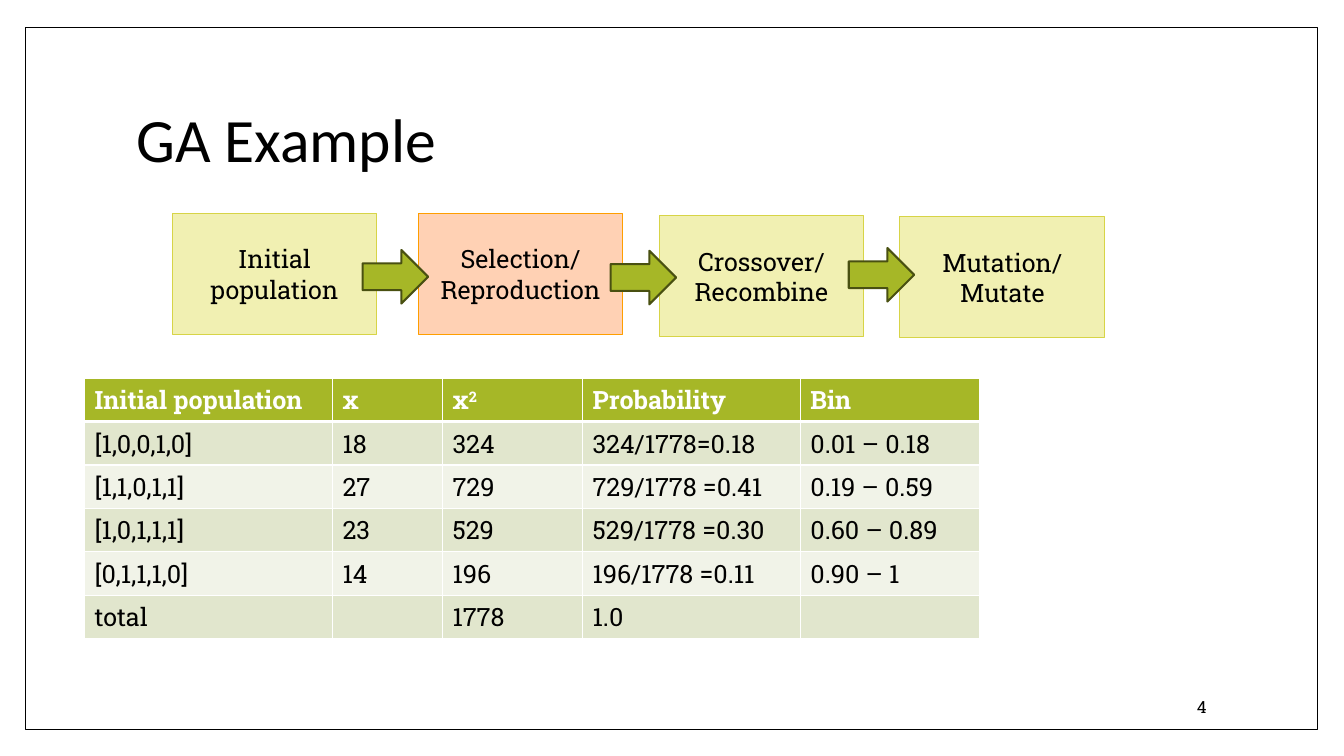
from typing import NamedTuple

from lxml import etree
from pptx import Presentation
from pptx import util as u
from pptx.dml.color import RGBColor
from pptx.enum import shapes, text
from pptx.oxml import ns

SLAB = "Roboto Slab"
BLACK, WHITE, GREEN = "000000", "FFFFFF", "A6B727"
LIME, GOLD = "F1F0B2", "D7D447"


class Step(NamedTuple):
    left: float
    top: float
    lines: tuple[str, ...]
    fill: str = LIME
    edge: str = GOLD


class Arrow(NamedTuple):
    left: float
    top: float


STEPS = (
    Step(4.34, 5.38, ("Initial population",)),
    Step(10.54, 5.38, ("Selection/", "Reproduction"), "FFD1B4", "FE9E00"),
    Step(16.61, 5.44, ("Crossover/ Recombine",)),
    Step(22.68, 5.46, ("Mutation/ Mutate",)),
)
ARROWS = (Arrow(9.14, 6.3), Arrow(15.39, 6.32), Arrow(21.39, 6.25))
WIDTHS = (6.25, 2.77, 3.53, 5.49, 4.52)
ROW = 1.03
ROWS = (
    ("Initial population", "x", "x²", "Probability", "Bin"),
    ("[1,0,0,1,0]", "18", "324", "324/1778=0.18", "0.01 – 0.18"),
    ("[1,1,0,1,1]", "27", "729", "729/1778 =0.41", "0.19 – 0.59"),
    ("[1,0,1,1,1]", "23", "529", "529/1778 =0.30", "0.60 – 0.89"),
    ("[0,1,1,1,0]", "14", "196", "196/1778 =0.11", "0.90 – 1"),
    ("total", "", "1778", "1.0", ""),
)


def tint(color) -> RGBColor:
    return RGBColor.from_string(color)


def write(para, words: str, size: float = 18, face: str = SLAB,
          color: str = BLACK, bold: bool = False):
    run = para.add_run()
    run.text = words
    run.font.size = u.Pt(size)
    run.font.name = face
    run.font.bold = bold
    run.font.color.rgb = tint(color)
    return run


def draw(slide, kind, box: tuple[float, ...], fill: str, edge: str, width: float):
    shape = slide.shapes.add_shape(kind, *map(u.Cm, box))
    shape.shadow.inherit = False
    shape.fill.solid()
    shape.fill.fore_color.rgb = tint(fill)
    shape.line.color.rgb = tint(edge)
    shape.line.width = u.Pt(width)
    return shape


def add_step(slide, step: Step) -> None:
    box = (step.left, step.top, 5.16, 3.05)
    shape = draw(slide, shapes.MSO_SHAPE.RECTANGLE, box, step.fill, step.edge, 0.79)
    frame = shape.text_frame
    frame.word_wrap = True
    frame.vertical_anchor = text.MSO_ANCHOR.MIDDLE
    for i, line in enumerate(step.lines):
        para = frame.add_paragraph() if i else frame.paragraphs[0]
        para.alignment = text.PP_ALIGN.CENTER
        write(para, line)


def add_edges(cell, top: float, base: float) -> None:
    props = cell._tc.get_or_add_tcPr()
    sides = (("a:lnL", 1), ("a:lnR", 1), ("a:lnT", top), ("a:lnB", base))
    for i, (tag, width) in enumerate(sides):
        line = etree.Element(ns.qn(tag), w=str(u.Pt(width)))
        fill = etree.SubElement(line, ns.qn("a:solidFill"))
        etree.SubElement(fill, ns.qn("a:srgbClr"), val=WHITE)
        props.insert(i, line)


def fill_cell(cell, words: str, row: int) -> None:
    head = row == 0
    cell.fill.solid()
    cell.fill.fore_color.rgb = tint(GREEN if head else ("F1F3E8", "E1E6CD")[row % 2])
    add_edges(cell, 3 if row == 1 else 1, 3 if head else 1)
    para = cell.text_frame.paragraphs[0]
    color = WHITE if head else BLACK
    if words == "x²":
        write(para, "x", color=color, bold=head)
        power = write(para, "2", color=color, bold=head)
        power._r.get_or_add_rPr().set("baseline", "30000")
    elif words:
        write(para, words, color=color, bold=head)


def add_grid(slide) -> None:
    size = (2.13, 9.53, sum(WIDTHS), ROW * len(ROWS))
    grid = slide.shapes.add_table(len(ROWS), len(WIDTHS), *map(u.Cm, size)).table
    for col, width in zip(grid.columns, WIDTHS):
        col.width = u.Cm(width)
    for r, row in enumerate(ROWS):
        grid.rows[r].height = u.Cm(ROW)
        for c, words in enumerate(row):
            fill_cell(grid.cell(r, c), words, r)


def main() -> None:
    deck = Presentation()
    deck.slide_width, deck.slide_height = u.Cm(33.87), u.Cm(19.05)
    slide = deck.slides.add_slide(deck.slide_layouts[5])

    # Page frame, behind everything
    rect = shapes.MSO_SHAPE.RECTANGLE
    page = draw(slide, rect, (0.64, 0.69, 32.56, 17.7), WHITE, BLACK, 1)
    slide.shapes._spTree.insert(2, page._element)

    # Title
    title = slide.shapes.title
    title.left, title.top = u.Cm(3.18), u.Cm(1.7)
    title.width, title.height = u.Cm(27.43), u.Cm(3.76)
    title.text_frame.vertical_anchor = text.MSO_ANCHOR.MIDDLE
    para = title.text_frame.paragraphs[0]
    para.alignment = text.PP_ALIGN.LEFT
    para.line_spacing = 0.9
    write(para, "GA Example", 44, "Calibri")

    # Process steps and arrows
    for step in STEPS:
        add_step(slide, step)
    for arrow in ARROWS:
        box = (arrow.left, arrow.top, 1.65, 1.35)
        draw(slide, shapes.MSO_SHAPE.RIGHT_ARROW, box, GREEN, "495011", 1.5)

    # Population table
    add_grid(slide)

    # Slide number
    note = slide.shapes.add_textbox(*map(u.Cm, (25.91, 17.3, 4.75, 1.02)))
    note.text_frame.word_wrap = True
    note.text_frame.vertical_anchor = text.MSO_ANCHOR.MIDDLE
    para = note.text_frame.paragraphs[0]
    para.alignment = text.PP_ALIGN.RIGHT
    write(para, "4", 12)

    deck.save("out.pptx")


if __name__ == "__main__":
    main()
